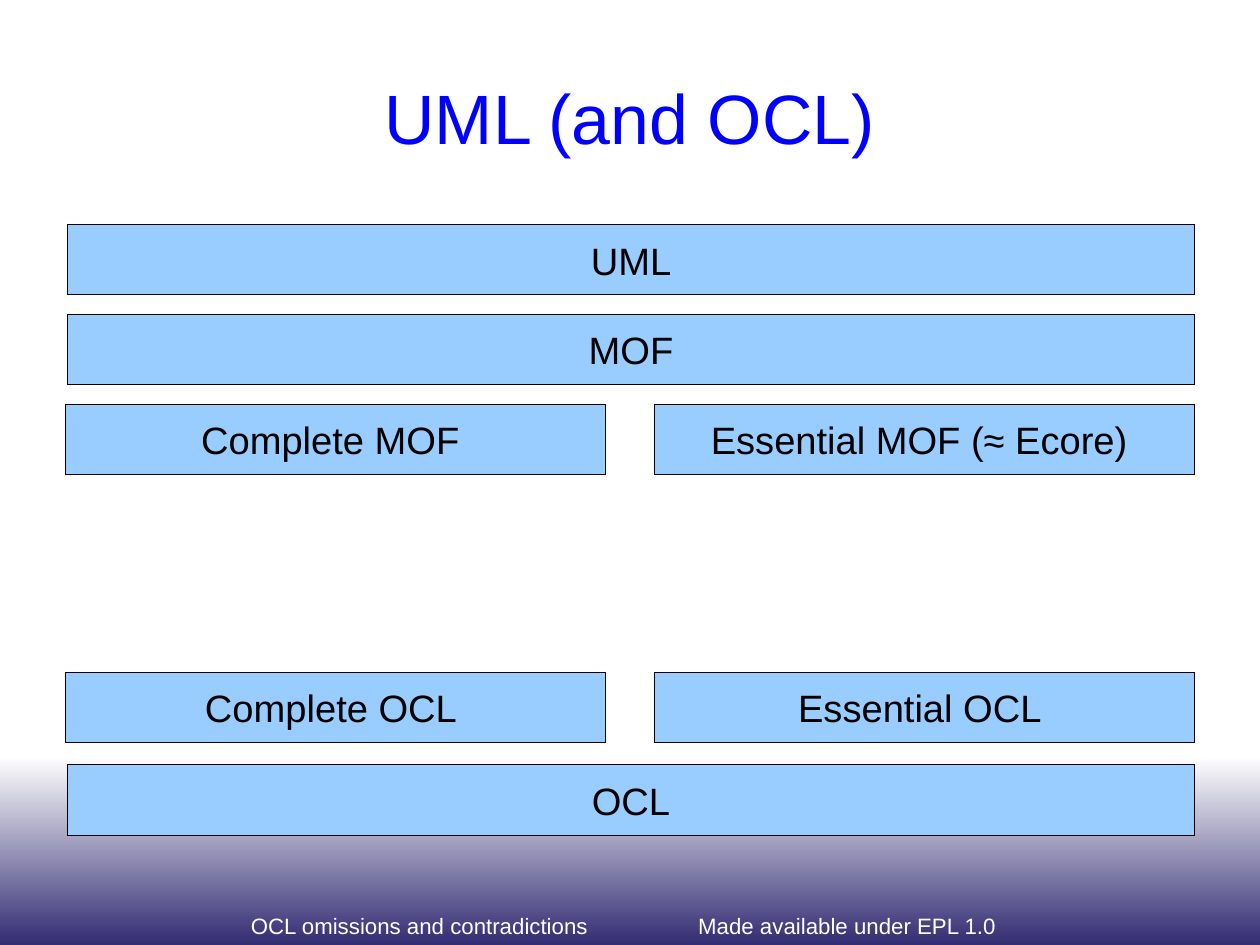
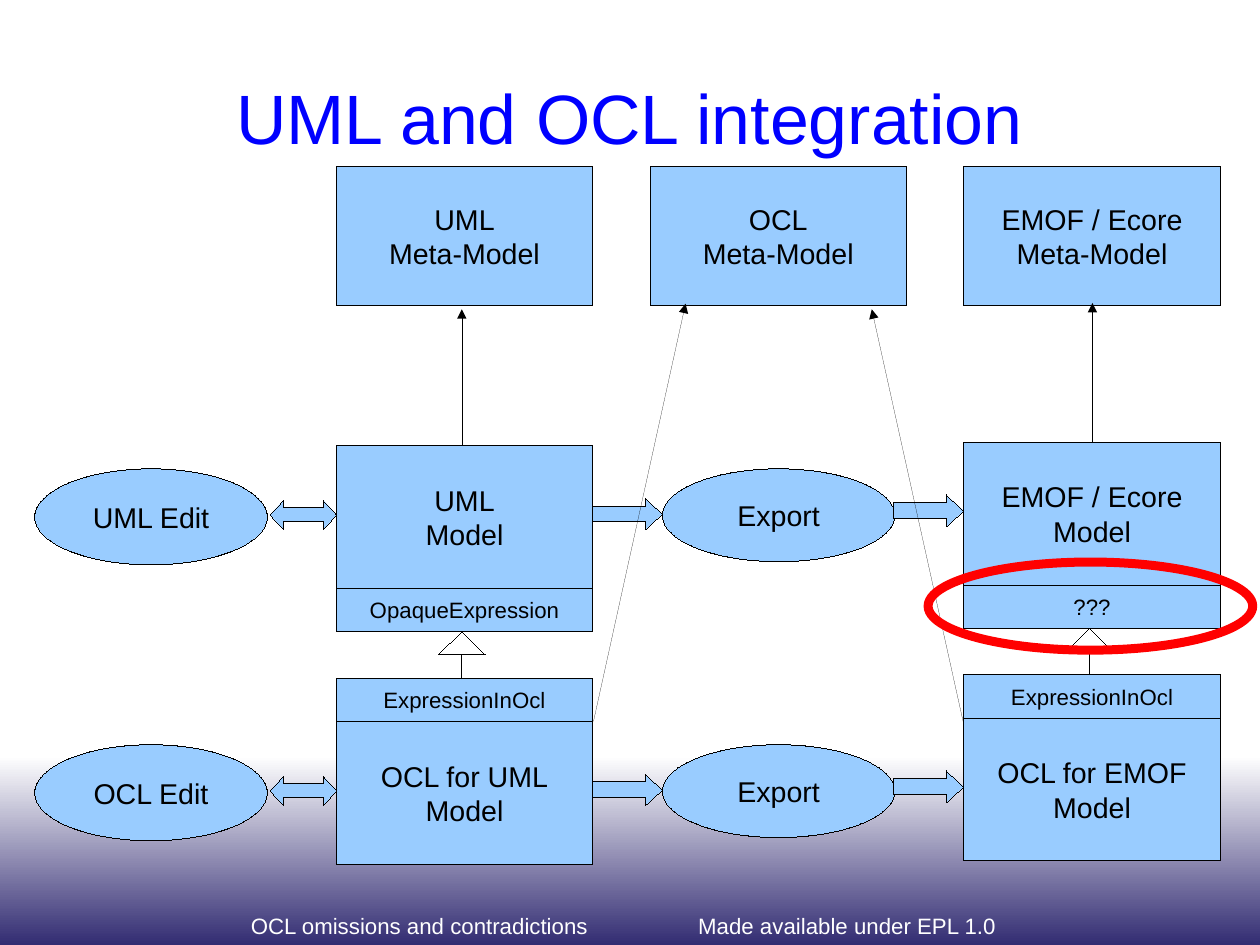
from lxml.etree import SubElement
from pptx import Presentation
from pptx.dml.color import RGBColor
from pptx.enum.shapes import MSO_CONNECTOR, MSO_SHAPE as Preset
from pptx.enum.text import MSO_ANCHOR as Anchor, MSO_AUTO_SIZE as AutoSize, PP_ALIGN as Align
from pptx.oxml.ns import qn
from pptx.util import Pt

SLIDE_W, SLIDE_H = 793.75, 595.25
FONT = "Arial"
WHITE, BLACK, SKY, BLUE, NAVY, RED = "FFFFFF", "000000", "99CCFF", "0000FF", "322C72", "FF0000"
TITLE_BOX = (39.7, 23.75, 714.25, 99.5)
FOOTERS = [
    ("Made available under EPL 1.0", (432.75, 571, 202.25, 23), (7.2, 3.6), Align.LEFT),
    ("OCL omissions and contradictions", (145.5, 574.5, 237.5, 20), (0, 0), Align.CENTER),
]
COLUMN_W, COLUMN_PITCH = 161.5, 197.65
MODEL_H, STRIP_H, HEAD_H, GAP_H = 90, 27.2, 14.5, 29.4
LOWER_ROW = MODEL_H + 2 * STRIP_H + GAP_H


def color(value):
    """Turn a hex string into a colour."""
    return RGBColor.from_string(value)


def points(*lengths):
    """Convert numbers to point lengths."""
    return [Pt(length) for length in lengths]


def write(frame, text, size, ink, align=Align.CENTER, anchor=Anchor.MIDDLE, inset=(7.2, 3.6)):
    """Fill a text frame and format its runs."""
    frame.text = text
    frame.word_wrap = True
    frame.auto_size = AutoSize.NONE
    frame.vertical_anchor = anchor
    frame.margin_left = frame.margin_right = Pt(inset[0])
    frame.margin_top = frame.margin_bottom = Pt(inset[1])
    for paragraph in frame.paragraphs:
        paragraph.alignment = align
        for run in paragraph.runs:
            run.font.name, run.font.size = FONT, Pt(size)
            run.font.color.rgb = color(ink)


def outline(part, ink=BLACK, weight=0):
    """Colour a line and state its width, a hairline included."""
    part.line.color.rgb = color(ink)
    stroke = part._element.spPr.get_or_add_ln()
    stroke.set("w", str(int(Pt(weight))))
    return stroke


def add_node(slide, preset, box, label="", size=18, fill=SKY, line=BLACK, weight=0, adjust=()):
    """Add an outlined shape with an optional label."""
    node = slide.shapes.add_shape(preset, *points(*box))
    node.shadow.inherit = False
    if fill:
        node.fill.solid()
        node.fill.fore_color.rgb = color(fill)
    else:
        node.fill.background()
    outline(node, line, weight)
    for index, value in enumerate(adjust):
        node.adjustments[index] = value
    if label:
        write(node.text_frame, label, size, BLACK)


def add_link(slide, start, end, arrow=True):
    """Add a hairline with an optional arrowhead at its end."""
    link = slide.shapes.add_connector(MSO_CONNECTOR.STRAIGHT, *points(*start, *end))
    stroke = outline(link)
    if arrow:
        SubElement(stroke, qn("a:tailEnd"), type="triangle")
    SubElement(link._element.spPr, qn("a:effectLst"))


def paint_background(master):
    """Give the master the fade from white to navy."""
    fill = master.background.fill
    fill.gradient()
    fill.gradient_angle = 270
    for stop, position, shade in zip(fill.gradient_stops, (0.8, 1), (WHITE, NAVY)):
        stop.position = position
        stop.color.rgb = color(shade)


def new_slide(deck, heading):
    """Add a slide with its title and footers."""
    slide = deck.slides.add_slide(deck.slide_layouts[5])
    title = slide.shapes.title
    title.left, title.top, title.width, title.height = points(*TITLE_BOX)
    write(title.text_frame, heading, 44, BLUE, inset=(0, 0))
    for text, box, inset, align in FOOTERS:
        footer = slide.shapes.add_textbox(*points(*box))
        write(footer.text_frame, text, 14, WHITE, align, Anchor.TOP, inset)
    return slide


def add_layers(slide, box):
    """Stack the language layers as full and half bars."""
    left, top, width, height = box
    bar_h, half_w, pitch = 44.25, 340.25, 56.6
    lowest = height - bar_h
    for label, offset in [("UML", 0), ("MOF", pitch), ("OCL", lowest)]:
        add_node(slide, Preset.RECTANGLE, (left + 1.25, top + offset, width - 1.25, bar_h), label, 24)
    halves = [
        (("Complete MOF ", "Essential MOF (≈ Ecore) "), 2 * pitch),
        (("Complete OCL ", "Essential OCL "), lowest - 58.2),
    ]
    for labels, offset in halves:
        for label, x in zip(labels, (left, left + width - half_w)):
            add_node(slide, Preset.RECTANGLE, (x, top + offset, half_w, bar_h), label, 24)


def add_meta_models(slide, box):
    """Place the row of meta-models."""
    left, top, width, height = box
    for index, name in enumerate(("UML", "OCL", "EMOF / Ecore")):
        x = left + index * COLUMN_PITCH
        add_node(slide, Preset.RECTANGLE, (x, top, width, height), f"{name}\nMeta-Model")


def add_process(slide, box, editor):
    """Place the editor, the export and the block arrows of one row."""
    left, top, width, height = box
    right = left + width
    add_node(slide, Preset.OVAL, (left, top, 146.5, height), editor)
    add_node(slide, Preset.OVAL, (left + 395.4, top, 146.5, height - 2), "Export")
    add_node(slide, Preset.LEFT_RIGHT_ARROW, (left + 148.25, top + 20, 42, 18), adjust=(0.5, 0.46))
    for x, y in [(left + 351.5, top + 18.5), (right - 44, top + 16.5)]:
        add_node(slide, Preset.RIGHT_ARROW, (x, y, 44, 20), adjust=(0.5, 0.55))


def add_model_column(slide, box, upper, expression, lower):
    """Place a model above the OCL model that specialises it."""
    left, top, width = box
    middle = left + width / 2 - 1.75
    strip_top = top + MODEL_H
    head_top = strip_top + STRIP_H
    lower_strip = head_top + GAP_H
    add_link(slide, (middle, head_top + HEAD_H), (middle, lower_strip), arrow=False)
    add_node(slide, Preset.ISOSCELES_TRIANGLE, (middle - 14.75, head_top, 29.5, HEAD_H), fill=WHITE)
    parts = [
        (top, MODEL_H, f"{upper}\nModel", 18),
        (strip_top, STRIP_H, expression, 14),
        (lower_strip, STRIP_H, "ExpressionInOcl", 14),
        (top + LOWER_ROW, MODEL_H, f"{lower}\nModel", 18),
    ]
    for y, height, label, size in parts:
        add_node(slide, Preset.RECTANGLE, (left, y, width, height), label, size)


def add_integration(slide, box):
    """Place the meta-models, processes, links and model columns."""
    left, top, width, height = box
    uml_x = left + 190
    emof_x = uml_x + 2 * COLUMN_PITCH
    uml_y, emof_y = top + 175.75, top + 173.75
    add_meta_models(slide, (uml_x, top, COLUMN_W, 88))
    for editor, offset in [("UML Edit", 0), ("OCL Edit", LOWER_ROW)]:
        add_process(slide, (left, uml_y + 14.75 + offset, emof_x - left, 60.5), editor)
    uml_link, emof_link = uml_x + 79, emof_x + 81
    ocl_y = uml_y + LOWER_ROW
    links = [
        ((uml_link, uml_y), (uml_link, top + 90)),
        ((emof_link, emof_y), (emof_link, top + 86)),
        ((uml_x + COLUMN_W + 0.5, ocl_y), (uml_x + 220, top + 86.5)),
        ((emof_x - 0.5, ocl_y), (emof_x - 58, top + 90)),
    ]
    for start, end in links:
        add_link(slide, start, end)
    add_model_column(slide, (uml_x, uml_y, COLUMN_W), "UML", "OpaqueExpression", "OCL for UML")
    add_model_column(slide, (emof_x, emof_y, COLUMN_W), "EMOF / Ecore", "???", "OCL for EMOF")
    highlight = (emof_x - 22.5, emof_y + 75.5, 204.5, 55.5)
    add_node(slide, Preset.OVAL, highlight, fill=None, line=RED, weight=5.67)


def main():
    """Build and save the deck."""
    deck = Presentation()
    deck.slide_width, deck.slide_height = points(SLIDE_W, SLIDE_H)
    paint_background(deck.slide_master)
    add_layers(new_slide(deck, "UML (and OCL)"), (41.25, 141.5, 711.25, 384.5))
    add_integration(new_slide(deck, "UML and OCL integration"), (21.9, 104.8, 747.5, 440))
    deck.save("out.pptx")


if __name__ == "__main__":
    main()
